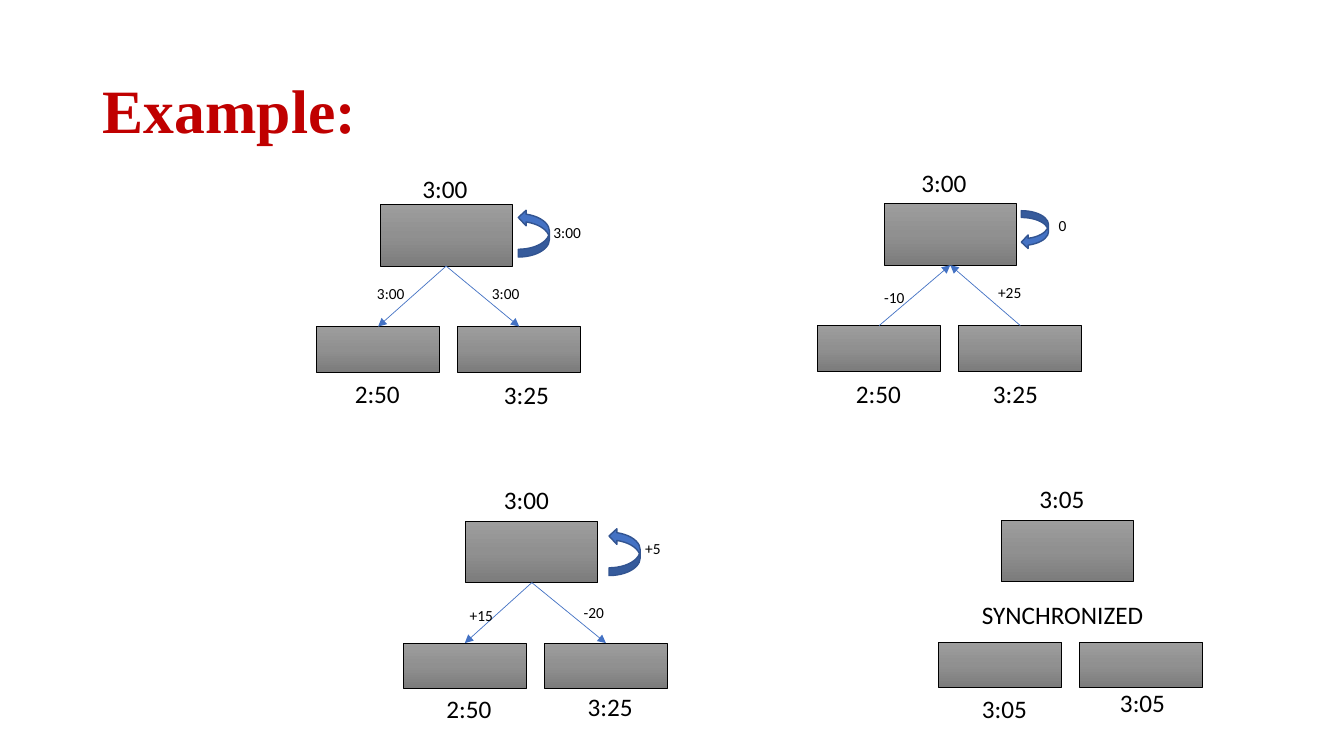
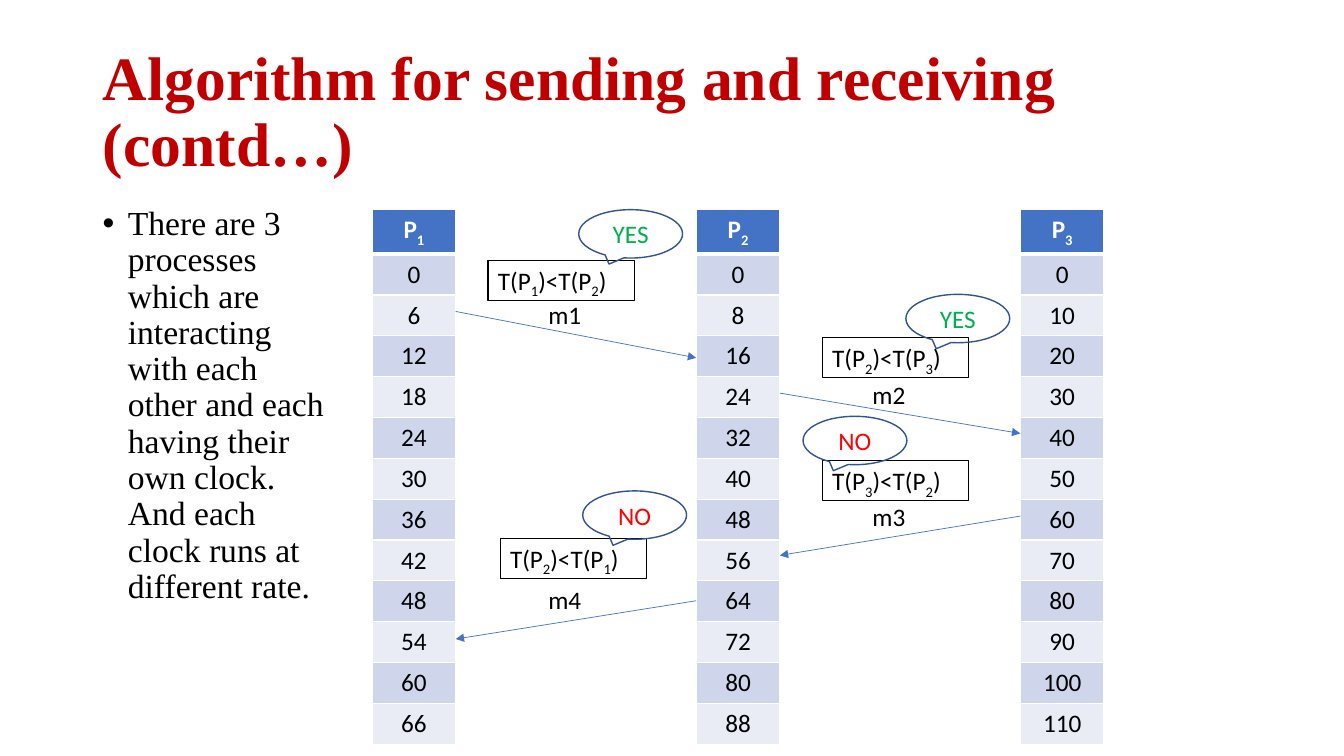
from copy import deepcopy
from dataclasses import dataclass

from lxml import etree
from pptx import Presentation
from pptx.dml.color import RGBColor
from pptx.enum.shapes import MSO_CONNECTOR, MSO_SHAPE
from pptx.enum.text import MSO_ANCHOR, MSO_AUTO_SIZE, PP_ALIGN
from pptx.oxml.ns import qn
from pptx.util import Inches, Pt

RECT = MSO_SHAPE.RECTANGLE
CALLOUT = MSO_SHAPE.OVAL_CALLOUT
ARROW_OUT = MSO_SHAPE.CURVED_RIGHT_ARROW
ARROW_IN = MSO_SHAPE.CURVED_LEFT_ARROW
STRAIGHT = MSO_CONNECTOR.STRAIGHT
LEFT, CENTER = PP_ALIGN.LEFT, PP_ALIGN.CENTER
TOP, MIDDLE = MSO_ANCHOR.TOP, MSO_ANCHOR.MIDDLE
SIDE_TOP, SIDE_BOTTOM = 0, 2


@dataclass(frozen=True)
class Theme:
    title: str = "C00000"
    text: str = "000000"
    light: str = "FFFFFF"
    accent: str = "4472C4"
    accent_edge: str = "325491"
    bands: tuple = ("E9EBF5", "CFD5EA")
    metal: tuple = ((0, "9D9D9D"), (0.5, "909090"), (1, "7C7C7C"))
    yes: str = "00B050"
    no: str = "FF0000"
    heading_font: str = "Times New Roman"
    font: str = "Calibri"
    title_size: int = 44
    body_size: int = 24
    size: int = 18
    small: int = 11


THEME = Theme()
WIDTH, HEIGHT = 13.33, 7.5
TITLE_BOX = (0.92, 0.4, 11.5, 1.45)

# Clock tree grid, measured from the top left of the server box
SERVER = (1.31, 0.61)
CLIENT = (1.22, 0.45)
CLIENT_ROW, CLIENT_STEP = 1.21, 1.4
TIME_BOX = (0.75, 0.41)
NOTE_BOX = (0.75, 0.29)

# Timeline grid
COLUMN_LEFT, COLUMN_TOP, COLUMN_STEP = 3.69, 2.08, 3.215
COLUMN_WIDTH, COLUMN_HEIGHT = 0.83, 5.27
TICKS = 12


# ---- shared parts ----
def rgb(value):
    return RGBColor.from_string(value)


def inches(*values):
    return [Inches(value) for value in values]


def write(para, text, size=THEME.size, color=THEME.text, font=THEME.font,
          bold=False, align=LEFT):
    """Add runs; every second piece between bars is a subscript."""
    para.alignment = align
    for index, piece in enumerate(text.split("|")):
        if not piece:
            continue
        span = para.add_run()
        span.text = piece
        span.font.size, span.font.name, span.font.bold = Pt(size), font, bold
        span.font.color.rgb = rgb(color)
        if index % 2:
            span.font._element.set("baseline", "-25000")


def add_text(page, box, text, **style):
    frame = page.shapes.add_textbox(*inches(*box)).text_frame
    frame.word_wrap = True
    write(frame.paragraphs[0], text, **style)
    return frame.paragraphs[0]


def add_shape(page, kind, box, edge, width, fill=None):
    shape = page.shapes.add_shape(kind, *inches(*box))
    shape.shadow.inherit = False
    shape.line.color.rgb, shape.line.width = rgb(edge), Pt(width)
    if fill:
        shape.fill.solid()
        shape.fill.fore_color.rgb = rgb(fill)
    else:
        shape.fill.background()
    return shape


def add_metal_box(page, box):
    shape = add_shape(page, RECT, box, THEME.text, 0.5)
    shape.fill.gradient()
    shape.fill.gradient_angle = 270
    first = shape._element.spPr.find(".//" + qn("a:gs"))
    first.addnext(deepcopy(first))
    stops = shape.fill.gradient_stops
    for stop, (position, color) in zip(stops, THEME.metal):
        stop.position = position
        stop.color.rgb = rgb(color)
    return shape


def add_arrow(page, start=(0, 0), end=(0, 0)):
    arrow = page.shapes.add_connector(STRAIGHT, *inches(*start, *end))
    arrow.line.color.rgb, arrow.line.width = rgb(THEME.accent), Pt(0.5)
    line = arrow.line._get_or_add_ln()
    etree.SubElement(line, qn("a:tailEnd"), type="triangle")
    etree.SubElement(arrow._element.spPr, qn("a:effectLst"))
    return arrow


def add_page(deck, heading):
    page = deck.slides.add_slide(deck.slide_layouts[5])
    title = page.shapes.title
    title.left, title.top, title.width, title.height = inches(*TITLE_BOX)
    frame = title.text_frame
    frame.auto_size, frame.word_wrap = MSO_AUTO_SIZE.NONE, True
    frame.vertical_anchor = MIDDLE
    para = frame.paragraphs[0]
    para.line_spacing = 0.9
    write(para, heading, THEME.title_size, THEME.title, THEME.heading_font, True)
    return page


# ---- clock synchronization slide ----
def add_clock_tree(page, left, top, client_left, times, notes=(),
                   loop=None, inward=False):
    """Server over two clients; times and notes are (text, dx, dy)."""
    server = add_metal_box(page, (left, top, *SERVER))
    clients = [
        add_metal_box(page, (left + client_left + i * CLIENT_STEP,
                             top + CLIENT_ROW, *CLIENT))
        for i in range(2)
    ]
    # Messages between the server and its clients
    if loop:
        for client in clients:
            arrow = add_arrow(page)
            if inward:
                arrow.begin_connect(client, SIDE_TOP)
                arrow.end_connect(server, SIDE_BOTTOM)
            else:
                arrow.begin_connect(server, SIDE_BOTTOM)
                arrow.end_connect(client, SIDE_TOP)
        # The server's message to itself
        dx, dy, width, height = loop
        turn = add_shape(page, ARROW_IN if inward else ARROW_OUT,
                         (left + dx, top + dy, width, height),
                         THEME.accent_edge, 1, THEME.accent)
        turn.rotation = 0 if inward else 180
    # Clock times and message values
    for labels, size, extent in ((times, THEME.size, TIME_BOX),
                                 (notes, THEME.small, NOTE_BOX)):
        for text, dx, dy in labels:
            add_text(page, (left + dx, top + dy, *extent), text, size=size)


def build_example(deck):
    page = add_page(deck, "Example:")
    add_clock_tree(
        page, 3.77, 2.03, -0.63,
        (("3:00", 0.32, -0.36), ("2:50", -0.35, 1.67), ("3:25", 1.13, 1.68)),
        (("3:00", -0.13, 0.74), ("3:00", 1.01, 0.74), ("3:00", 1.62, 0.13)),
        loop=(1.37, 0.05, 0.31, 0.47))
    add_clock_tree(
        page, 8.77, 2.02, -0.66,
        (("3:00", 0.27, -0.41), ("2:50", -0.38, 1.68), ("3:25", 0.98, 1.68)),
        (("-10", -0.1, 0.79), ("+25", 1.03, 0.74), ("0", 1.63, 0.07)),
        loop=(1.36, 0.07, 0.27, 0.38), inward=True)
    add_clock_tree(
        page, 4.62, 5.17, -0.62,
        (("3:00", 0.28, -0.41), ("2:50", -0.29, 1.66), ("3:25", 1.11, 1.64)),
        (("+15", -0.06, 0.79), ("-20", 1.07, 0.76), ("+5", 1.68, 0.13)),
        loop=(1.42, 0.07, 0.31, 0.47))
    add_clock_tree(
        page, 9.93, 5.16, -0.62,
        (("3:05", 0.28, -0.41), ("3:05", -0.29, 1.67), ("3:05", 1.08, 1.61)))
    add_text(page, (9.64, 5.9, 2.24, 0.4), "SYNCHRONIZED")


# ---- process timeline slide ----
def add_borders(cell, **widths):
    properties = cell._tc.get_or_add_tcPr()
    for side in "LRTB":
        line = etree.SubElement(properties, qn("a:ln" + side),
                                w=str(Pt(widths.get(side, 1))))
        fill = etree.SubElement(line, qn("a:solidFill"))
        etree.SubElement(fill, qn("a:srgbClr"), val=THEME.light)


def add_clock_column(page, left, top, number, rate):
    rows = TICKS + 1
    table = page.shapes.add_table(
        rows, 1, *inches(left, top, COLUMN_WIDTH, COLUMN_HEIGHT)).table
    for index in range(rows):
        table.rows[index].height = Inches(COLUMN_HEIGHT / rows)
        cell = table.cell(index, 0)
        header = index == 0
        add_borders(cell, B=3 if header else 1, T=3 if index == 1 else 1)
        cell.fill.solid()
        cell.fill.fore_color.rgb = rgb(
            THEME.accent if header else THEME.bands[index % 2])
        write(cell.text_frame.paragraphs[0],
              f"P|{number}|" if header else str((index - 1) * rate),
              color=THEME.light if header else THEME.text,
              bold=header, align=CENTER)


def add_message(page, name, sender, receiver, start, end, label_top,
                test, test_at, answer, answer_at):
    """Arrow between two columns, its condition and the answer."""
    gap = COLUMN_LEFT + min(sender, receiver) * COLUMN_STEP + COLUMN_WIDTH
    edges = (gap, gap + COLUMN_STEP - COLUMN_WIDTH)
    if sender > receiver:
        edges = edges[::-1]
    add_arrow(page, (edges[0], start), (edges[1], end))
    add_text(page, (gap + 0.82, label_top, 0.7, 0.4), name)

    condition = add_shape(page, RECT, (gap + test_at[0], test_at[1], 1.45, 0.4),
                          THEME.text, 0.75)
    condition.text_frame.word_wrap = True
    condition.text_frame.vertical_anchor = TOP
    write(condition.text_frame.paragraphs[0], test)

    bubble = add_shape(page, CALLOUT,
                       (gap + answer_at[0], answer_at[1], 1.03, 0.48),
                       THEME.accent_edge, 1)
    bubble.text_frame.vertical_anchor = MIDDLE
    write(bubble.text_frame.paragraphs[0], answer, align=CENTER,
          color=THEME.yes if answer == "YES" else THEME.no)


def add_bullet_text(page, box, text):
    para = add_text(page, box, text, size=THEME.body_size,
                    font=THEME.heading_font)
    para.line_spacing = 0.9
    properties = para._p.get_or_add_pPr()
    properties.set("marL", str(Inches(0.25)))
    properties.set("indent", str(-Inches(0.25)))
    etree.SubElement(properties, qn("a:buFont"), typeface="Arial")
    etree.SubElement(properties, qn("a:buChar"), char="•")


def build_algorithm(deck):
    page = add_page(deck, "Algorithm for sending and receiving (contd…)")
    add_bullet_text(
        page, (0.92, 2, 2.4, 4.76),
        "There are 3 processes which are interacting with each other and each "
        "having their own clock. And each clock runs at different rate.")
    for index, rate in enumerate((6, 8, 10)):
        add_clock_column(page, COLUMN_LEFT + index * COLUMN_STEP,
                         COLUMN_TOP, index + 1, rate)
    messages = (
        ("m1", 0, 1, 3.09, 3.55, 2.92,
         "T(P|1|)<T(P|2|)", (0.32, 2.58), "YES", (1.22, 2.08)),
        ("m2", 1, 2, 3.9, 4.3, 3.71,
         "T(P|2|)<T(P|3|)", (0.42, 3.35), "YES", (1.25, 2.92)),
        ("m3", 2, 1, 5.12, 5.51, 4.92,
         "T(P|3|)<T(P|2|)", (0.42, 4.57), "NO", (0.23, 4.13)),
        ("m4", 1, 0, 5.96, 6.34, 5.75,
         "T(P|2|)<T(P|1|)", (0.44, 5.34), "NO", (1.26, 4.87)),
    )
    for message in messages:
        add_message(page, *message)


def main():
    deck = Presentation()
    deck.slide_width, deck.slide_height = inches(WIDTH, HEIGHT)
    build_example(deck)
    build_algorithm(deck)
    deck.save("out.pptx")


if __name__ == "__main__":
    main()
